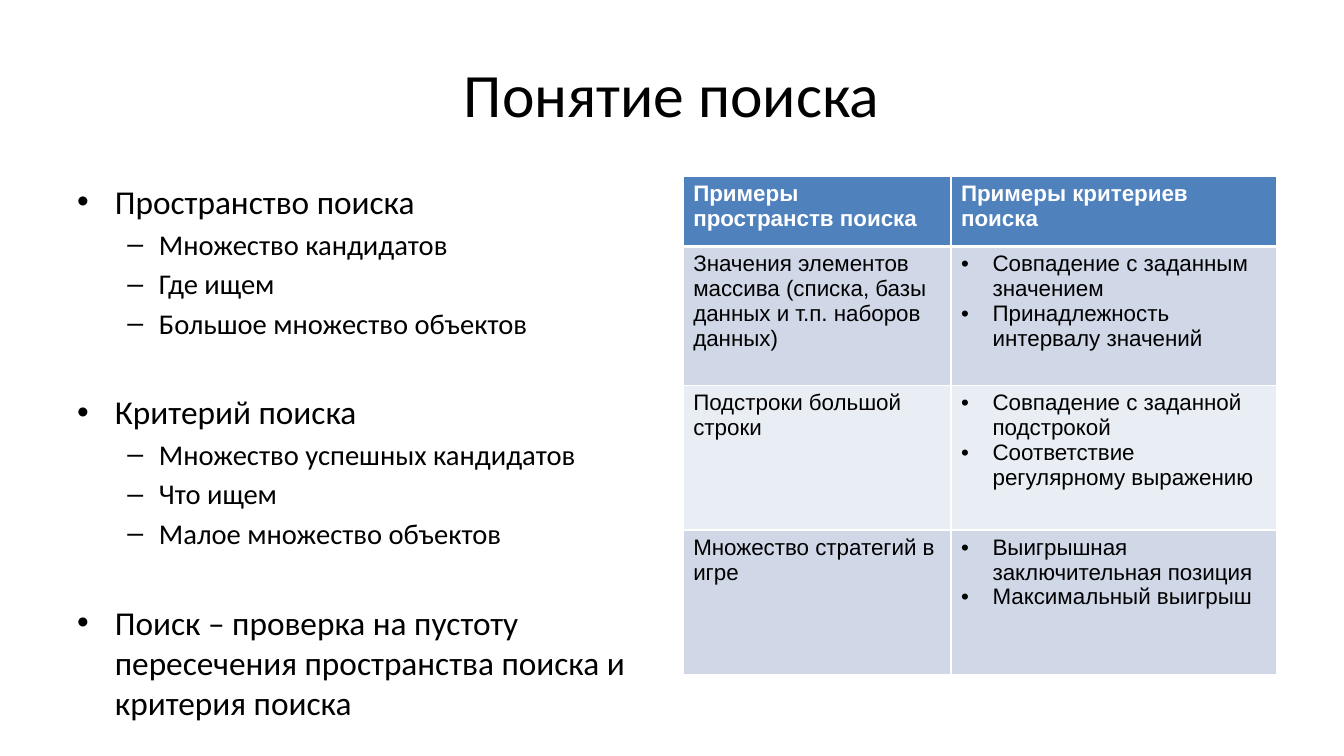
from lxml.etree import SubElement
from pptx import Presentation
from pptx.dml.color import RGBColor
from pptx.enum.text import MSO_ANCHOR, PP_ALIGN
from pptx.oxml.ns import qn
from pptx.util import Pt

TITLE = "Понятие поиска"
TOPICS = [
    ("Пространство поиска",
     ["Множество кандидатов", "Где ищем", "Большое множество объектов"]),
    ("Критерий поиска",
     ["Множество успешных кандидатов", "Что ищем", "Малое множество объектов"]),
    ("Поиск – проверка на пустоту пересечения пространства поиска и критерия поиска", []),
]
HEADINGS = ("Примеры пространств поиска", "Примеры критериев поиска")
EXAMPLES = [
    ("Значения элементов массива (списка, базы данных и т.п. наборов данных)",
     ["Совпадение с заданным значением", "Принадлежность интервалу значений"]),
    ("Подстроки большой строки",
     ["Совпадение с заданной подстрокой", "Соответствие регулярному выражению"]),
    ("Множество стратегий в игре",
     ["Выигрышная заключительная позиция", "Максимальный выигрыш"]),
]

COLORS = {"text": "000000", "white": "FFFFFF", "header": "4F81BD",
          "odd": "D0D8E8", "even": "E9EDF4"}
TITLE_FONT = {"name": "Calibri", "size": Pt(44)}
TOPIC_FONT = {"name": "Calibri", "size": Pt(23.8)}
DETAIL_FONT = {"name": "Calibri", "size": Pt(20.4)}
HEADING_FONT = {"name": "Arial", "size": Pt(16), "bold": True}
CELL_FONT = {"name": "Arial", "size": Pt(16), "bold": False}

SLIDE_WIDTH, SLIDE_HEIGHT = 960, 540
MARGIN, CONTENT_TOP = 48, 126
HALF_WIDTH, CONTENT_HEIGHT = 424, 356.4
COLUMN_WIDTHS = (191.3, 232.7)
ROW_HEIGHTS = (50, 99.4, 103.2, 103.2)
TOPIC_GAP, DETAIL_GAP = 37, 3.7


def add_text(paragraph, words, font, color="text"):
    run = paragraph.add_run()
    run.text = words
    for key, value in font.items():
        setattr(run.font, key, value)
    run.font.color.rgb = RGBColor.from_string(COLORS[color])


def add_bullet(paragraph, symbol, indent, hanging):
    properties = paragraph._p.get_or_add_pPr()
    properties.set("marL", str(Pt(indent)))
    properties.set("indent", str(-Pt(hanging)))
    SubElement(properties, qn("a:buFont")).set("typeface", "Arial")
    SubElement(properties, qn("a:buChar")).set("char", symbol)


def paragraphs(frame):
    """Yield the frame's first paragraph, then new ones."""
    yield frame.paragraphs[0]
    while True:
        yield frame.add_paragraph()


def add_frame(slide, left, top, width, height, anchor):
    frame = slide.shapes.add_textbox(Pt(left), Pt(top), Pt(width), Pt(height)).text_frame
    frame.word_wrap = True
    frame.vertical_anchor = anchor
    return frame


def set_borders(cell, bottom):
    properties = cell._tc.get_or_add_tcPr()
    widths = {"a:lnL": 1, "a:lnR": 1, "a:lnT": 1, "a:lnB": bottom}
    for position, (side, width) in enumerate(widths.items()):
        line = SubElement(properties, qn(side), w=str(Pt(width)))
        fill = SubElement(line, qn("a:solidFill"))
        SubElement(fill, qn("a:srgbClr")).set("val", COLORS["white"])
        properties.insert(position, line)


def style_cell(cell, color, bottom=1):
    cell.fill.solid()
    cell.fill.fore_color.rgb = RGBColor.from_string(COLORS[color])
    set_borders(cell, bottom)


def add_topics(slide):
    frame = add_frame(slide, MARGIN, CONTENT_TOP, HALF_WIDTH, CONTENT_HEIGHT, MSO_ANCHOR.TOP)
    lines = paragraphs(frame)
    for number, (topic, details) in enumerate(TOPICS):
        line = next(lines)
        line.space_before = Pt(TOPIC_GAP if number else 0)
        add_bullet(line, "•", 27, 27)
        add_text(line, topic, TOPIC_FONT)
        for detail in details:
            line = next(lines)
            line.level = 1
            line.space_before = Pt(DETAIL_GAP)
            add_bullet(line, "–", 58.5, 22.5)
            add_text(line, detail, DETAIL_FONT)


def add_examples(slide):
    table = slide.shapes.add_table(
        len(ROW_HEIGHTS), len(COLUMN_WIDTHS),
        Pt(SLIDE_WIDTH - MARGIN - HALF_WIDTH), Pt(CONTENT_TOP),
        Pt(HALF_WIDTH), Pt(CONTENT_HEIGHT)).table
    for column, width in zip(table.columns, COLUMN_WIDTHS):
        column.width = Pt(width)
    for row, height in zip(table.rows, ROW_HEIGHTS):
        row.height = Pt(height)
    for column, heading in enumerate(HEADINGS):
        cell = table.cell(0, column)
        style_cell(cell, "header", bottom=3)
        add_text(cell.text_frame.paragraphs[0], heading, HEADING_FONT, "white")
    for row, (space, criteria) in enumerate(EXAMPLES, start=1):
        space_cell, criteria_cell = table.cell(row, 0), table.cell(row, 1)
        for cell in (space_cell, criteria_cell):
            style_cell(cell, "odd" if row % 2 else "even")
        add_text(space_cell.text_frame.paragraphs[0], space, CELL_FONT)
        for criterion, line in zip(criteria, paragraphs(criteria_cell.text_frame)):
            add_bullet(line, "•", 22.5, 22.5)
            add_text(line, criterion, CELL_FONT)


def main():
    deck = Presentation()
    deck.slide_width, deck.slide_height = Pt(SLIDE_WIDTH), Pt(SLIDE_HEIGHT)
    slide = deck.slides.add_slide(deck.slide_layouts[6])
    title = add_frame(slide, MARGIN, 21.6, SLIDE_WIDTH - 2 * MARGIN, 90,
                      MSO_ANCHOR.MIDDLE).paragraphs[0]
    title.alignment = PP_ALIGN.CENTER
    add_text(title, TITLE, TITLE_FONT)
    add_topics(slide)
    add_examples(slide)
    deck.save("out.pptx")


if __name__ == "__main__":
    main()
